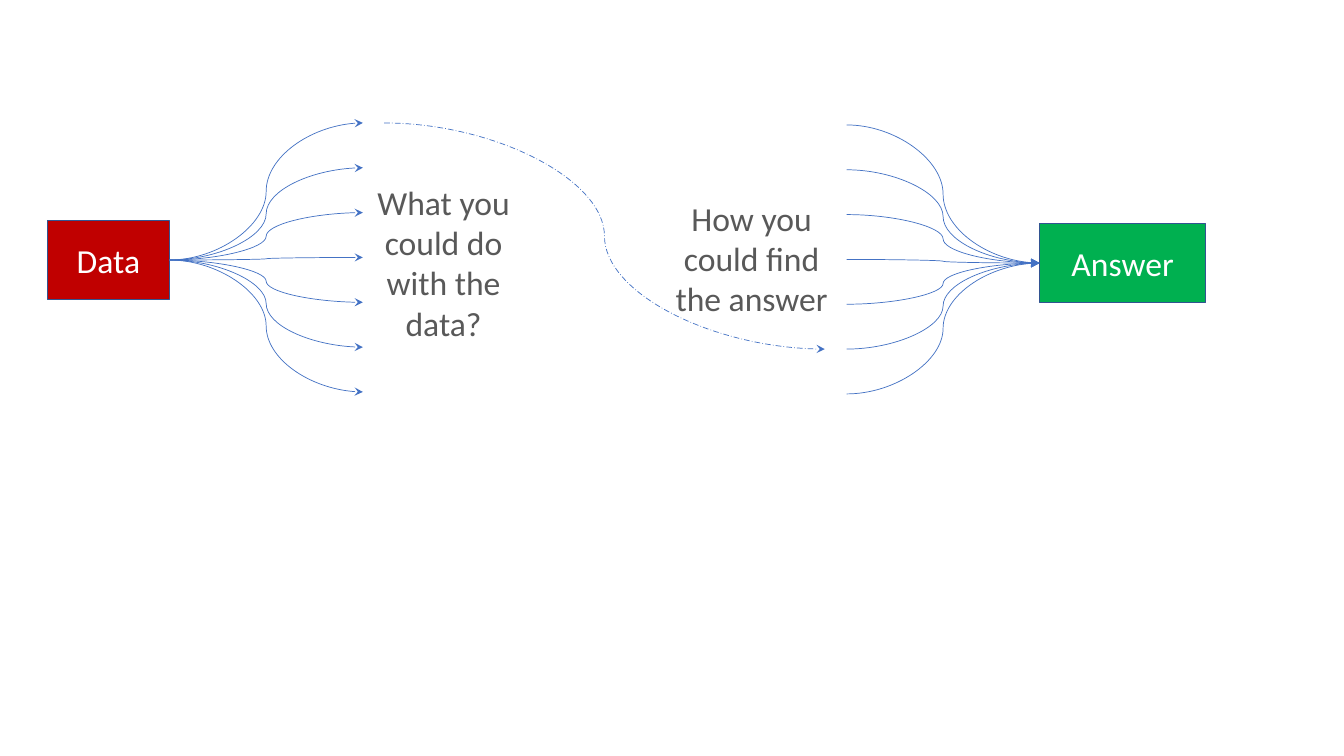
from lxml.etree import SubElement
from pptx import Presentation
from pptx.dml.color import RGBColor
from pptx.enum.dml import MSO_LINE
from pptx.enum.shapes import MSO_CONNECTOR, MSO_SHAPE
from pptx.enum.text import MSO_ANCHOR, PP_ALIGN
from pptx.oxml.ns import qn
from pptx.util import Inches, Pt

SLIDE_WIDTH = Inches(13.33)
SLIDE_HEIGHT = Inches(7.5)
BOX_HEIGHT = 10.4
BRANCH_COUNT = 7
BRANCH_STEP = 5.93
DATA_TOP_BRANCH = 16.27
ANSWER_TOP_BRANCH = 16.53
RIGHT_SIDE, LEFT_SIDE = 3, 1


def across(percent):
    return round(SLIDE_WIDTH * percent / 100)


def down(percent):
    return round(SLIDE_HEIGHT * percent / 100)


def color(hex_string):
    return RGBColor.from_string(hex_string)


def write_centered(shape, text, text_color):
    frame = shape.text_frame
    frame.word_wrap = True
    frame.vertical_anchor = MSO_ANCHOR.MIDDLE
    frame.text = text
    para = frame.paragraphs[0]
    para.alignment = PP_ALIGN.CENTER
    font = para.runs[0].font
    font.name = "Calibri"
    font.size = Pt(24)
    font.color.rgb = color(text_color)


def add_box(page, text, left, top, width, fill):
    box = page.shapes.add_shape(
        MSO_SHAPE.RECTANGLE, across(left), down(top), across(width), down(BOX_HEIGHT))
    box.shadow.inherit = False
    box.fill.solid()
    box.fill.fore_color.rgb = color(fill)
    box.line.color.rgb = color("325491")
    box.line.width = Pt(1)
    write_centered(box, text, "FFFFFF")
    return box


def add_question(page, text, left, top, width):
    label = page.shapes.add_textbox(
        across(left), down(top), across(width), down(BOX_HEIGHT))
    write_centered(label, text, "595959")


def add_curve(page, start, end, arrow_end, arrow_type, dash=None):
    curve = page.shapes.add_connector(
        MSO_CONNECTOR.CURVE,
        across(start[0]), down(start[1]), across(end[0]), down(end[1]))
    curve.line.color.rgb = color("4472C4")
    curve.line.width = Pt(0.5)
    if dash:
        curve.line.dash_style = dash
    properties = curve._element.spPr
    SubElement(properties.find(qn("a:ln")), qn(arrow_end), type=arrow_type)
    SubElement(properties, qn("a:effectLst"))
    return curve


def add_fan(page, box, side, start, end_column, top_branch, arrow_end, arrow_type):
    for branch in range(BRANCH_COUNT):
        end = (end_column, top_branch + branch * BRANCH_STEP)
        curve = add_curve(page, start, end, arrow_end, arrow_type)
        curve.begin_connect(box, side)


def main():
    deck = Presentation()
    deck.slide_width = SLIDE_WIDTH
    deck.slide_height = SLIDE_HEIGHT
    page = deck.slides.add_slide(deck.slide_layouts[6])

    answer_box = add_box(page, "Answer", 77.34, 29.6, 12.38, "00B050")
    data_box = add_box(page, "Data", 3.53, 29.2, 9.08, "C00000")
    add_question(page, "What you could do with the data?", 26.03, 29.47, 13.95)
    add_question(page, "How you could find the answer", 48.61, 28.93, 14.63)

    add_fan(page, data_box, RIGHT_SIDE, (12.61, 34.4), 27,
            DATA_TOP_BRANCH, "a:tailEnd", "stealth")
    add_fan(page, answer_box, LEFT_SIDE, (77.34, 34.8), 63,
            ANSWER_TOP_BRANCH, "a:headEnd", "triangle")
    add_curve(page, (28.58, DATA_TOP_BRANCH),
              (61.37, ANSWER_TOP_BRANCH + 5 * BRANCH_STEP),
              "a:tailEnd", "stealth", MSO_LINE.LONG_DASH_DOT)

    deck.save("out.pptx")


if __name__ == "__main__":
    main()
